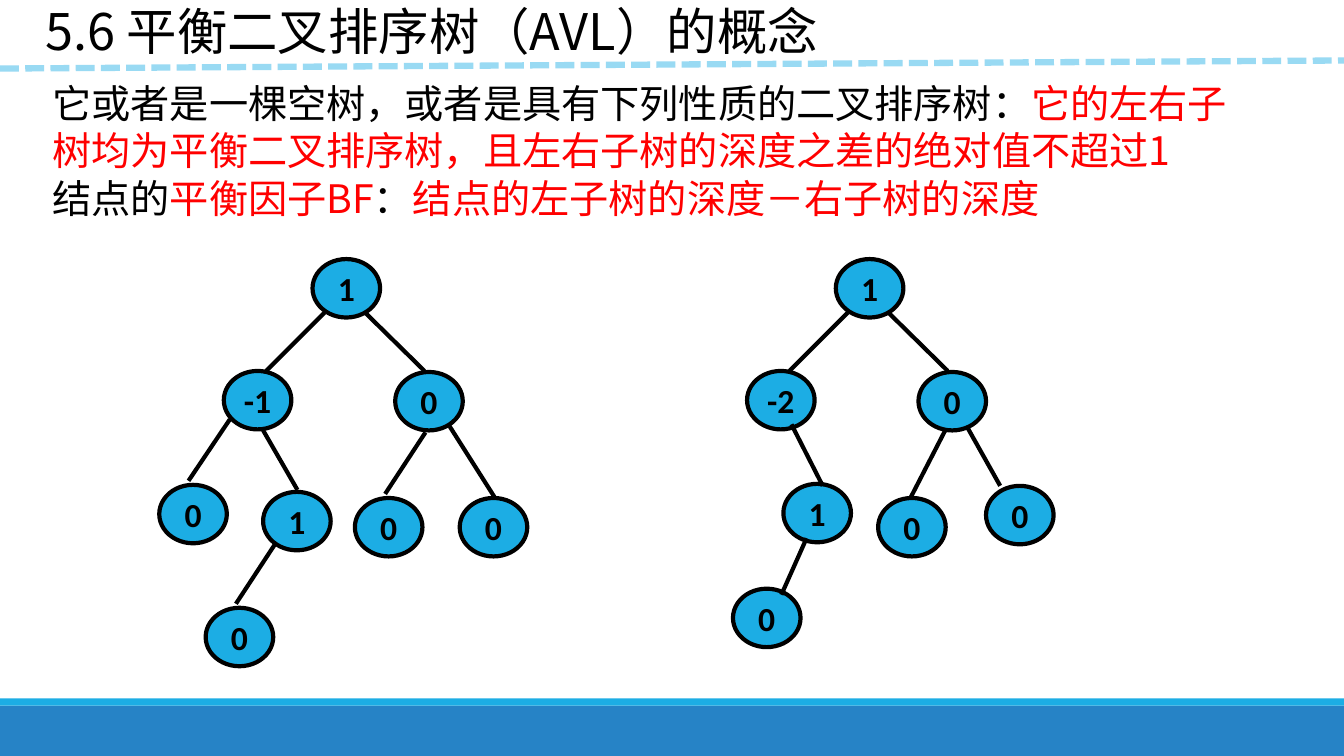
from dataclasses import dataclass

from lxml import etree
from pptx import Presentation
from pptx.dml.color import RGBColor
from pptx.enum.dml import MSO_LINE
from pptx.enum.shapes import MSO_CONNECTOR, MSO_SHAPE
from pptx.enum.text import MSO_ANCHOR, MSO_AUTO_SIZE, PP_ALIGN
from pptx.oxml.ns import qn
from pptx.util import Inches, Pt

STRAIGHT = MSO_CONNECTOR.STRAIGHT
OVAL, RECTANGLE = MSO_SHAPE.OVAL, MSO_SHAPE.RECTANGLE
TOP, MIDDLE = MSO_ANCHOR.TOP, MSO_ANCHOR.MIDDLE
LEFT, CENTER = PP_ALIGN.LEFT, PP_ALIGN.CENTER
FIXED_SIZE = MSO_AUTO_SIZE.NONE
DASHED = MSO_LINE.SQUARE_DOT


@dataclass(frozen=True)
class Theme:
    """Colours, fonts and sizes of the slide."""
    ink: RGBColor = RGBColor.from_string("000000")
    accent: RGBColor = RGBColor.from_string("FF0000")
    node: RGBColor = RGBColor.from_string("1CADE4")
    footer: RGBColor = RGBColor.from_string("2683C6")
    rule: RGBColor = RGBColor.from_string("99DAF3")
    text_font: str = "Noto Sans CJK SC"
    node_font: str = "Calibri"
    title_size: Pt = Pt(36)
    body_size: Pt = Pt(28)
    body_pitch: Pt = Pt(34)
    node_size: Pt = Pt(24)
    edge_width: Pt = Pt(3)
    rule_width: Pt = Pt(4.5)


THEME = Theme()
NODE_WIDTH, NODE_HEIGHT = 0.67, 0.58

DEFINITION = [
    [("它或者是一棵空树，或者是具有下列性质的二叉排序树：", THEME.ink),
     ("它的左右子树均为平衡二叉排序树，且左右子树的深度之差的绝对值不超过1", THEME.accent)],
    [("结点的", THEME.ink), ("平衡因子BF", THEME.accent), ("：", THEME.ink),
     ("结点的左子树的深度－右子树的深度", THEME.accent)],
]

SHARED_NODES = [("1", 0, 0), ("0", 0.82, 1.12), ("0", 0.42, 2.37)]
SHARED_EDGES = [(0.12, 0.53, -0.46, 1.11), (0.52, 0.53, 1.11, 1.11)]

BALANCED_NODES = [("-1", -0.88, 1.11), ("0", -1.52, 2.24), ("1", -0.49, 2.31),
                  ("0", 1.46, 2.37), ("0", -1.06, 3.46)]
BALANCED_EDGES = [(-0.82, 1.59, -1.23, 2.2), (-0.49, 1.7, -0.15, 2.29),
                  (1.12, 1.72, 0.72, 2.33), (1.36, 1.66, 1.81, 2.37),
                  (-0.36, 2.81, -0.76, 3.42)]

UNBALANCED_NODES = [("-2", -0.88, 1.11), ("1", -0.52, 2.23),
                    ("0", 1.49, 2.25), ("0", -1.02, 3.27)]
UNBALANCED_EDGES = [(-0.44, 1.64, -0.13, 2.25), (1.09, 1.69, 0.74, 2.37),
                    (1.31, 1.68, 1.63, 2.25), (-0.29, 2.77, -0.54, 3.33)]


def set_font(font, name, size):
    """Set the typeface and size of a font."""
    font.name = name
    font.size = size


def prepare_placeholder(box, left, top, width, height):
    """Move a placeholder and return its text frame, anchored at the top."""
    box.left, box.top = Inches(left), Inches(top)
    box.width, box.height = Inches(width), Inches(height)
    frame = box.text_frame
    frame.word_wrap = True
    frame.auto_size = FIXED_SIZE
    frame.vertical_anchor = TOP
    return frame


def add_spans(para, spans):
    """Fill a paragraph with coloured spans in the text font."""
    for text, colour in spans:
        span = para.add_run()
        span.text = text
        span.font.color.rgb = colour
        east_asian = etree.SubElement(span.font._element, qn("a:ea"))
        east_asian.set("typeface", THEME.text_font)


def add_title(page, left, top, width, height):
    """Write the section heading in the title placeholder."""
    frame = prepare_placeholder(page.shapes.title, left, top, width, height)
    para = frame.paragraphs[0]
    para.alignment = LEFT
    para.line_spacing = 0.9
    add_spans(para, [("5.6 平衡二叉排序树（AVL）的概念", THEME.ink)])
    set_font(para.font, THEME.text_font, THEME.title_size)


def add_definition(page, left, top, width, height):
    """Write the definition paragraphs in the body placeholder."""
    frame = prepare_placeholder(page.placeholders[1], left, top, width, height)
    for index, spans in enumerate(DEFINITION):
        para = frame.add_paragraph() if index else frame.paragraphs[0]
        para.space_before = Pt(0)
        para.line_spacing = THEME.body_pitch
        properties = para._p.get_or_add_pPr()
        properties.set("marL", "0")
        properties.set("indent", "0")
        etree.SubElement(properties, qn("a:buNone"))
        add_spans(para, spans)
        set_font(para.font, THEME.text_font, THEME.body_size)


def add_line(page, start_x, start_y, end_x, end_y, colour, width):
    """Draw a straight line without a shadow."""
    line = page.shapes.add_connector(
        STRAIGHT, Inches(start_x), Inches(start_y), Inches(end_x), Inches(end_y))
    line.line.color.rgb = colour
    line.line.width = width
    etree.SubElement(line._element.spPr, qn("a:effectLst"))
    return line


def add_filled_shape(page, kind, left, top, width, height, colour):
    """Draw a plain filled shape without a shadow."""
    shape = page.shapes.add_shape(
        kind, Inches(left), Inches(top), Inches(width), Inches(height))
    shape.shadow.inherit = False
    shape.fill.solid()
    shape.fill.fore_color.rgb = colour
    shape.line.fill.background()
    return shape


def add_node(page, label, left, top):
    """Draw a tree node labelled with its balance factor."""
    node = add_filled_shape(page, OVAL, left, top, NODE_WIDTH, NODE_HEIGHT, THEME.node)
    node.line.color.rgb = THEME.ink
    node.line.width = THEME.edge_width
    frame = node.text_frame
    frame.word_wrap = False
    frame.vertical_anchor = MIDDLE
    para = frame.paragraphs[0]
    para.text = label
    para.alignment = CENTER
    set_font(para.font, THEME.node_font, THEME.node_size)
    para.font.bold = True
    para.font.color.rgb = THEME.ink


def add_tree(page, left, top, nodes, edges):
    """Draw a tree whose root node has its corner at the given point."""
    for label, x, y in SHARED_NODES + nodes:
        add_node(page, label, left + x, top + y)
    for start_x, start_y, end_x, end_y in SHARED_EDGES + edges:
        add_line(page, left + start_x, top + start_y, left + end_x, top + end_y,
                 THEME.ink, THEME.edge_width)


def add_footer(page, left, top, width, height):
    """Draw the footer band with its thin bright strip on top."""
    strip = 0.07
    add_filled_shape(page, RECTANGLE, left, top + strip, width, height - strip, THEME.footer)
    add_filled_shape(page, RECTANGLE, left, top, width, strip, THEME.node)


def main():
    """Build the slide and save the deck."""
    deck = Presentation()
    deck.slide_width, deck.slide_height = Inches(13.33), Inches(7.5)
    page = deck.slides.add_slide(deck.slide_layouts[1])
    add_footer(page, 0, 6.93, 13.33, 0.57)
    add_definition(page, 0.42, 0.73, 11.98, 1.51)
    add_title(page, 0.35, 0.02, 10.33, 0.71)
    rule = add_line(page, 0, 0.68, 13.33, 0.6, THEME.rule, THEME.rule_width)
    rule.line.dash_style = DASHED
    add_tree(page, 3.1, 2.57, BALANCED_NODES, BALANCED_EDGES)
    add_tree(page, 8.29, 2.57, UNBALANCED_NODES, UNBALANCED_EDGES)
    deck.save("out.pptx")


if __name__ == "__main__":
    main()
